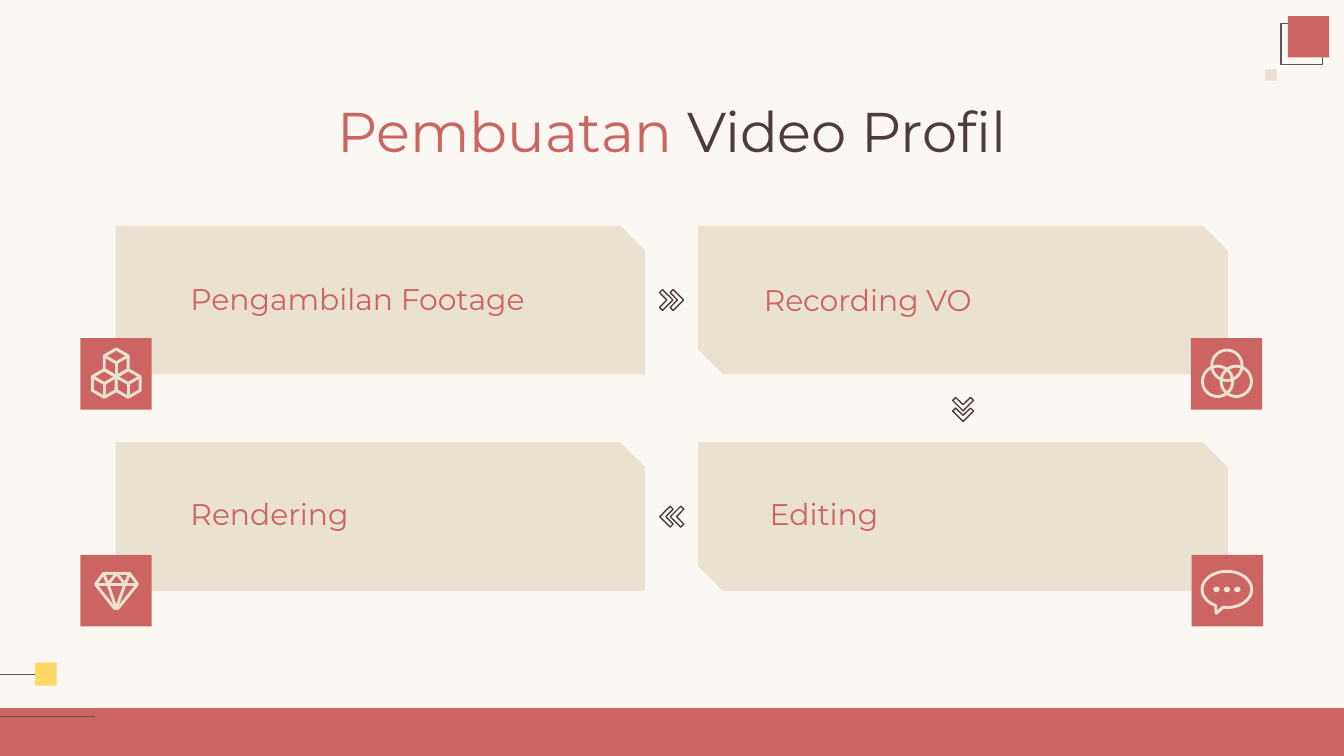
from math import cos, sin, radians
from lxml import etree
from pptx import Presentation
from pptx.dml.color import RGBColor
from pptx.enum.shapes import MSO_CONNECTOR, MSO_SHAPE
from pptx.enum.text import MSO_ANCHOR, PP_ALIGN
from pptx.oxml.ns import qn
from pptx.util import Pt

RECT, OVAL = MSO_SHAPE.RECTANGLE, MSO_SHAPE.OVAL
SNIP = MSO_SHAPE.SNIP_2_DIAG_RECTANGLE
STRAIGHT = MSO_CONNECTOR.STRAIGHT
MIDDLE, BOTTOM = MSO_ANCHOR.MIDDLE, MSO_ANCHOR.BOTTOM
LEFT, CENTER = PP_ALIGN.LEFT, PP_ALIGN.CENTER
CREAM = RGBColor(0xFB, 0xF8, 0xF4)
RED = RGBColor(0xCC, 0x64, 0x62)
SAND = RGBColor(0xEB, 0xE1, 0xD0)
BROWN = RGBColor(0x4D, 0x3C, 0x3C)
GRAY = RGBColor(0x59, 0x59, 0x59)
YELLOW = RGBColor(0xFF, 0xD9, 0x66)
FONT = "Montserrat"
W, H = 720, 405
CARD_W, CARD_H, TILE = 283.7, 79.8, 38.3


def paint(sp, fill=None, line=None, weight=0.75):
    sp.shadow.inherit = False
    if fill is None:
        sp.fill.background()
    else:
        sp.fill.solid()
        sp.fill.fore_color.rgb = fill
    if line is None:
        sp.line.fill.background()
    else:
        sp.line.color.rgb = line
        sp.line.width = Pt(weight)


def add_box(s, kind, x, y, w, h, **colors):
    sp = s.shapes.add_shape(kind, Pt(x), Pt(y), Pt(w), Pt(h))
    paint(sp, **colors)
    return sp


def add_rule(s, x1, x2, y):
    rule = s.shapes.add_connector(STRAIGHT, Pt(x1), Pt(y), Pt(x2), Pt(y))
    rule.line.color.rgb = GRAY
    rule.line.width = Pt(0.75)
    etree.SubElement(rule._element.spPr, qn("a:effectLst"))


def add_outline(s, x, y, contours, color, weight):
    contours = [[(Pt(x + dx), Pt(y + dy)) for dx, dy in c] for c in contours]
    builder = s.shapes.build_freeform(*contours[0][0])
    for i, (start, *rest) in enumerate(contours):
        if i:
            builder.move_to(*start)
        builder.add_line_segments(rest, close=False)
    paint(builder.convert_to_shape(), line=color, weight=weight)


def add_text(s, x, y, w, h, runs, size, anchor, align):
    tf = s.shapes.add_textbox(Pt(x), Pt(y), Pt(w), Pt(h)).text_frame
    frame = dict(word_wrap=True, vertical_anchor=anchor, margin_left=Pt(7.2),
                 margin_right=Pt(7.2), margin_top=Pt(7.2), margin_bottom=Pt(7.2))
    for name, value in frame.items():
        setattr(tf, name, value)
    p = tf.paragraphs[0]
    p.alignment = align
    for text, color in runs:
        r = p.add_run()
        r.text = text
        for name, value in dict(name=FONT, size=Pt(size), bold=False).items():
            setattr(r.font, name, value)
        r.font.color.rgb = color


def arc(cx, cy, rx, ry, start=0, end=360, step=8):
    angles = [radians(a) for a in range(start, end + 1, step)]
    return [(cx + rx * cos(a), cy + ry * sin(a)) for a in angles]


def cubes_icon(s, x, y):
    radius = 7.4
    contours = []
    for cx, cy in ((19.3, 13.2), (12.9, 24.3), (25.7, 24.3)):
        hexagon = arc(cx, cy, radius, radius, 30, 390, 60)
        contours.append(hexagon)
        contours += [[(cx, cy), hexagon[i]] for i in (1, 3, 5)]
    contours = [c if len(c) > 2 else c[::-1] for c in contours]
    add_outline(s, x, y, contours, SAND, 1.6)


def circles_icon(s, x, y):
    centers = ((19.4, 14.5), (14.4, 23.1), (24.4, 23.1))
    add_outline(s, x, y, [arc(cx, cy, 8.1, 8.1) for cx, cy in centers], SAND, 1.6)


def diamond_icon(s, x, y):
    top, girdle, tip = 9.9, 15.7, 28.7
    outline = [(12.5, top), (26.5, top), (30.7, girdle), (20.2, tip),
               (18.4, tip), (8.2, girdle), (12.5, top)]
    facets = [(12.5, top), (14.9, girdle), (19.4, top), (24, girdle), (26.5, top)]
    pavilion = [(14.9, girdle), (19.3, tip), (24, girdle)]
    belt = [(8.2, girdle), (30.7, girdle)]
    add_outline(s, x, y, [outline, facets, pavilion, belt], SAND, 1.6)


def speech_icon(s, x, y):
    bubble = arc(18.9, 18.5, 13.3, 9.7, 117, 459, 9)
    add_outline(s, x, y, [bubble + [(13.2, 31.3), bubble[0]]], SAND, 1.6)
    for cx in (13.3, 18.9, 24.5):
        add_box(s, OVAL, x + cx - 1.7, y + 17, 3.4, 3, fill=SAND)


def chevrons(s, cx, cy, angle):
    c, n = cos(radians(angle)), sin(radians(angle))
    shape = [(-4.9, -5.6), (-6.5, -4), (-2.6, 0), (-6.5, 4), (-4.9, 5.6),
             (0.7, 0), (-4.9, -5.6)]
    for shift in (0, 5.7):
        turned = [((u + shift) * c - v * n, (u + shift) * n + v * c) for u, v in shape]
        add_outline(s, cx, cy, [turned], BROWN, 0.75)


def step_card(s, x, y, label, label_dx, label_dy, tile_dx, icon):
    card = add_box(s, SNIP, x, y, CARD_W, CARD_H, fill=SAND)
    card.adjustments[0], card.adjustments[1] = 0, 0.167
    tile_x, tile_y = x + tile_dx, y + 60.4
    add_box(s, RECT, tile_x, tile_y, TILE, TILE, fill=RED)
    icon(s, tile_x, tile_y)
    add_text(s, x + label_dx, y + label_dy, 257, 28.1, [(label, RED)], 16, BOTTOM, LEFT)


def corner_squares(s, x, y):
    add_box(s, RECT, x + 8.6, y + 3.8, 22.1, 22.1, line=GRAY)
    add_box(s, RECT, x + 12.3, y, 22.1, 22.1, fill=RED)
    add_box(s, RECT, x, y + 28.3, 6.2, 6.2, fill=SAND)


def footer(s, x, y, w, h):
    add_box(s, RECT, x, y, w, h, fill=RED)
    add_rule(s, x, x + 29.5, y - 18.2)
    add_rule(s, x, x + 51, y + 4.4)
    add_box(s, RECT, x + 18.8, y - 24.4, 11.6, 12.4, fill=YELLOW)


def process_grid(s, x, y):
    right, low = x + 312.2, y + 116.1
    step_card(s, x, y, "Pengambilan Footage", 33.1, 28, -18.9, cubes_icon)
    step_card(s, right, y, "Recording VO", 28, 28.4, 263.8, circles_icon)
    step_card(s, right, low, "Editing", 31.2, 26.8, 264.3, speech_icon)
    step_card(s, x, low, "Rendering", 33.1, 26.8, -18.9, diamond_icon)
    gap = (x + CARD_W + right) / 2
    chevrons(s, gap, y + CARD_H / 2, 0)
    chevrons(s, right + CARD_W / 2, (y + CARD_H + low) / 2 + 0.7, 90)
    chevrons(s, gap, low + CARD_H / 2, 180)


def main():
    prs = Presentation()
    prs.slide_width, prs.slide_height = Pt(W), Pt(H)
    s = prs.slides.add_slide(prs.slide_layouts[6])
    s.background.fill.solid()
    s.background.fill.fore_color.rgb = CREAM
    footer(s, 0, 379.4, W, 26.6)
    corner_squares(s, 677.7, 8.7)
    add_text(s, 50.4, 46.8, 619.2, 45.4,
             [("Pembuatan ", RED), ("Video Profil", BROWN)], 30, MIDDLE, CENTER)
    process_grid(s, 61.9, 120.8)
    prs.save("out.pptx")


if __name__ == "__main__":
    main()
